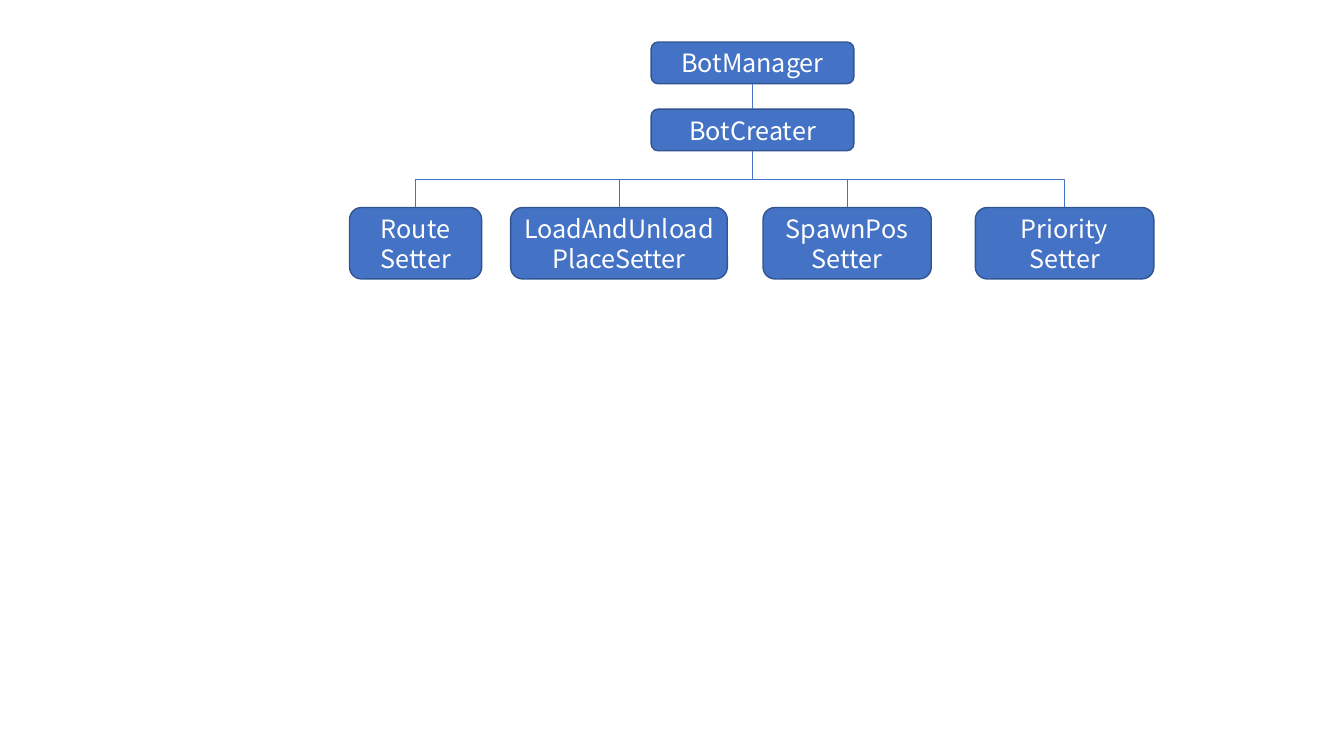
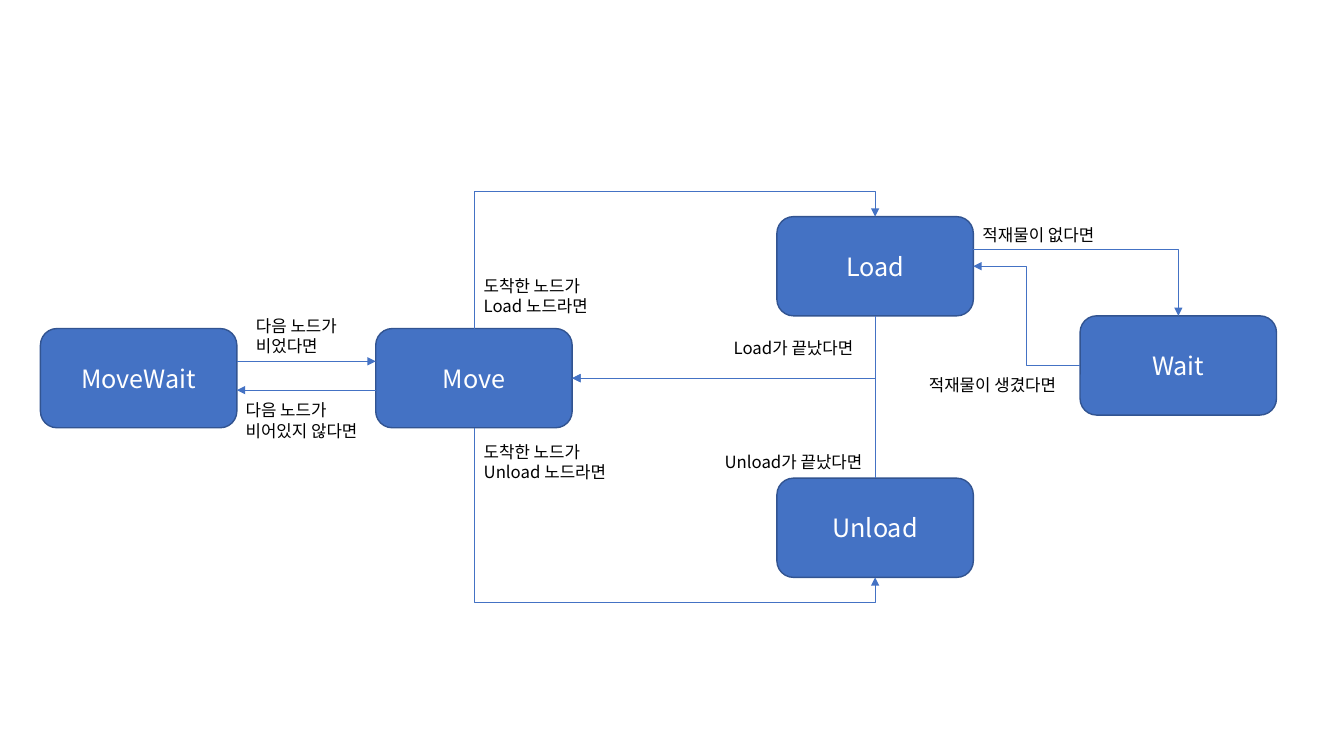
import math

import pptx
import pptx.dml.color
import pptx.enum.shapes
import pptx.enum.text
import pptx.oxml
import pptx.oxml.ns
import pptx.util

Cm = pptx.util.Cm
Pt = pptx.util.Pt
qn = pptx.oxml.ns.qn
CONNECTOR = pptx.enum.shapes.MSO_CONNECTOR


def color(value):
    return pptx.dml.color.RGBColor.from_string(value)


def point(box, across, down):
    """Place on a box, given as fractions of its width and height."""
    return box.left + box.width * across, box.top + box.height * down


class Diagram:
    FONT = "Noto Sans CJK KR"
    FILL, EDGE = "4472C4", "325491"
    NODE_TEXT = {"size": Pt(18), "name": FONT}
    LABEL_TEXT = {"size": Pt(12), "name": FONT}

    def __init__(self):
        self.deck = pptx.Presentation()
        self.deck.slide_width = Cm(33.87)
        self.deck.slide_height = Cm(19.05)
        self.page = None

    def add_page(self):
        blank = self.deck.slide_layouts[6]
        self.page = self.deck.slides.add_slide(blank)

    def set_text(self, frame, text, style, ink, align):
        """Fill a text frame, one paragraph per line of text."""
        frame.word_wrap = True
        for index, line in enumerate(text.split("\n")):
            para = frame.paragraphs[0] if index == 0 else frame.add_paragraph()
            para.alignment = align
            span = para.add_run()
            span.text = line
            for key, value in style.items():
                setattr(span.font, key, value)
            span.font.color.rgb = color(ink)
            # Korean letters take the East Asian font
            east_asian = span.font._element.makeelement(qn("a:ea"), {"typeface": self.FONT})
            span.font._element.append(east_asian)

    def node(self, text, left, top, width=4.95, height=2.5):
        kind = pptx.enum.shapes.MSO_SHAPE.ROUNDED_RECTANGLE
        box = self.page.shapes.add_shape(kind, Cm(left), Cm(top), Cm(width), Cm(height))
        box.shadow.inherit = False
        box.fill.solid()
        box.fill.fore_color.rgb = color(self.FILL)
        box.line.color.rgb = color(self.EDGE)
        box.line.width = Pt(1)
        box.text_frame.vertical_anchor = pptx.enum.text.MSO_ANCHOR.MIDDLE
        self.set_text(box.text_frame, text, self.NODE_TEXT, "FFFFFF",
                      pptx.enum.text.PP_ALIGN.CENTER)
        return box

    def label(self, text, left, top, width):
        height = 0.26 + 0.51 * len(text.split("\n"))
        box = self.page.shapes.add_textbox(Cm(left), Cm(top), Cm(width), Cm(height))
        box.text_frame.auto_size = pptx.enum.text.MSO_AUTO_SIZE.SHAPE_TO_FIT_TEXT
        self.set_text(box.text_frame, text, self.LABEL_TEXT, "000000",
                      pptx.enum.text.PP_ALIGN.LEFT)

    def line(self, start, end, arrow=True, kind=CONNECTOR.STRAIGHT):
        ends = [round(value) for value in (*start, *end)]
        connector = self.page.shapes.add_connector(kind, *ends)
        connector.line.color.rgb = color(self.FILL)
        connector.line.width = Pt(0.5)
        properties = connector._element.spPr
        if arrow:
            outline = properties.find(qn("a:ln"))
            outline.append(outline.makeelement(qn("a:tailEnd"), {"type": "triangle"}))
        properties.append(properties.makeelement(qn("a:effectLst"), {}))
        return connector

    def elbow(self, start, end, bend=None, upright=False, arrow=True):
        """Bent line: bend is the turning point as a fraction of the way,
        None gives a single corner; upright lines leave vertically."""
        dx, dy = end[0] - start[0], end[1] - start[1]
        if upright:
            # Lay the frame on its side around its centre, then turn it
            middle_x, middle_y = start[0] + dx / 2, start[1] + dy / 2
            half_x = math.copysign(dy, dx) / 2
            half_y = math.copysign(dx, dy) / 2
            start = middle_x + half_x, middle_y - half_y
            end = middle_x - half_x, middle_y + half_y
        connector = self.line(start, end, arrow, CONNECTOR.ELBOW)
        properties = connector._element.spPr
        if upright:
            degrees = 270 if dx * dy > 0 else 90
            properties.find(qn("a:xfrm")).set("rot", str(degrees * 60000))
        geometry = properties.find(qn("a:prstGeom"))
        if bend is None:
            geometry.set("prst", "bentConnector2")
        else:
            guides = geometry.find(qn("a:avLst"))
            formula = f"val {round(bend * 100000)}"
            guides.append(guides.makeelement(qn("a:gd"), {"name": "adj1", "fmla": formula}))


def class_tree(diagram):
    diagram.add_page()
    manager, creater = [
        diagram.node(name, 16.41, top, 5.11, 1.05)
        for name, top in (("BotManager", 1.06), ("BotCreater", 2.75))
    ]
    diagram.line(point(manager, 0.5, 1), point(creater, 0.5, 0), arrow=False)
    setters = (
        ("Route Setter", 8.81, 3.33),
        ("LoadAndUnloadPlaceSetter", 12.87, 5.46),
        ("SpawnPos\nSetter", 19.23, 4.24),
        ("Priority Setter", 24.58, 4.5),
    )
    for name, left, width in setters:
        setter = diagram.node(name, left, 5.23, width, 1.8)
        diagram.elbow(point(setter, 0.5, 0), point(creater, 0.5, 1),
                      bend=0.5, upright=True, arrow=False)


def state_machine(diagram):
    diagram.add_page()
    # States
    move_wait = diagram.node("MoveWait", 1.02, 8.28)
    move = diagram.node("Move", 9.47, 8.28)
    load = diagram.node("Load", 19.58, 5.46)
    unload = diagram.node("Unload", 19.58, 12.05)
    wait = diagram.node("Wait", 27.22, 7.96)

    # Transitions
    diagram.line(point(move_wait, 1, 0.33), point(move, 0, 0.33))
    diagram.line(point(move, 0, 0.62), point(move_wait, 1, 0.62))
    diagram.elbow(point(move, 0.5, 0), point(load, 0.5, 0), bend=1.23, upright=True)
    diagram.elbow(point(move, 0.5, 1), point(unload, 0.5, 1), bend=1.17, upright=True)
    for state, side in ((load, 1), (unload, 0)):
        diagram.elbow(point(state, 0.5, side), point(move, 1, 0.5), upright=True)
    diagram.elbow(point(load, 1, 0.33), point(wait, 0.5, 0))
    diagram.elbow(point(wait, 0, 0.5), point(load, 1, 0.5), bend=0.5)

    # Conditions
    conditions = (
        ("도착한 노드가\nLoad 노드라면", 11.94, 6.83, 3.38),
        ("도착한 노드가\nUnload 노드라면", 11.94, 11, 3.76),
        ("Unload가 끝났다면", 18.01, 11.25, 4.19),
        ("Load가 끝났다면", 18.24, 8.38, 3.73),
        ("적재물이 없다면", 24.51, 5.54, 3.66),
        ("적재물이 생겼다면", 23.16, 9.32, 4.09),
        ("다음 노드가\n비어있지 않다면", 5.94, 9.96, 5.21),
        ("다음 노드가\n비었다면", 6.2, 7.82, 5.21),
    )
    for condition in conditions:
        diagram.label(*condition)


def main():
    diagram = Diagram()
    class_tree(diagram)
    state_machine(diagram)
    diagram.deck.save("out.pptx")


if __name__ == "__main__":
    main()
